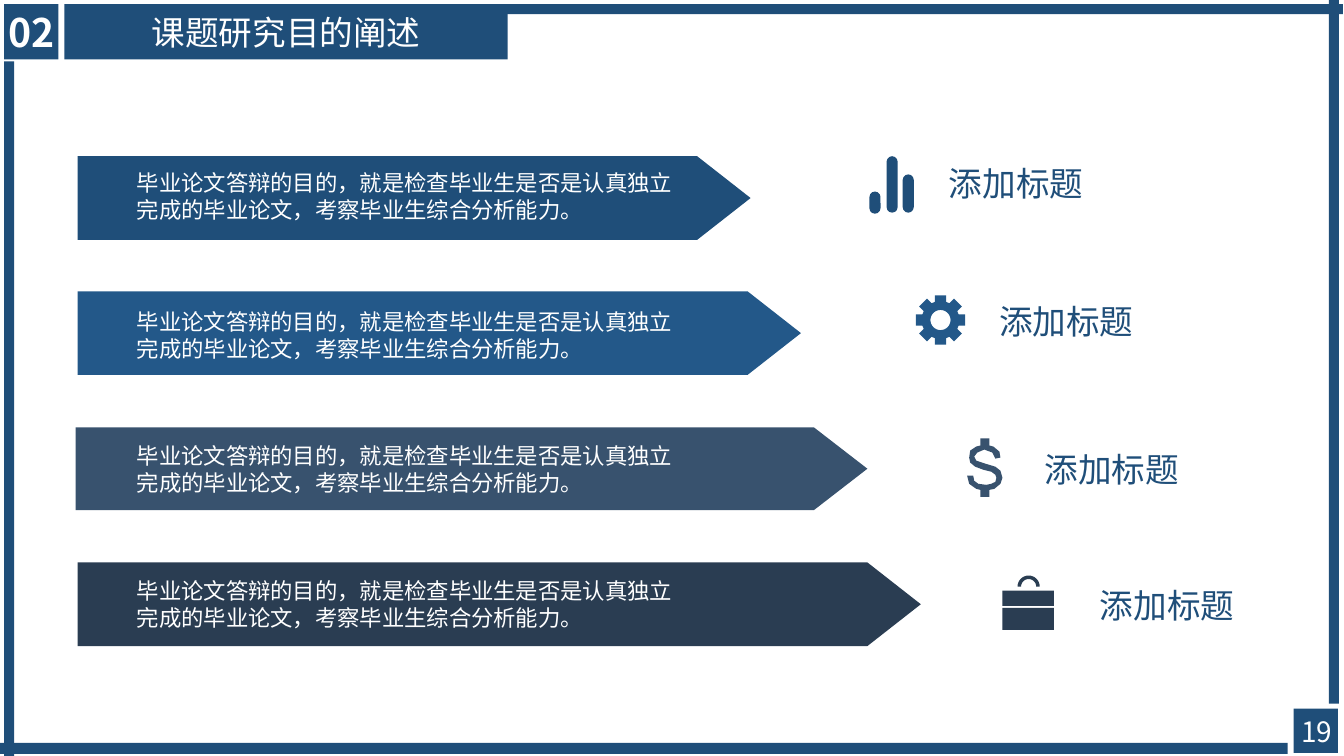
from math import cos, pi, sin

from lxml import etree
from pptx import Presentation
from pptx.dml.color import RGBColor
from pptx.enum.shapes import MSO_SHAPE
from pptx.enum.text import MSO_ANCHOR, MSO_AUTO_SIZE, PP_ALIGN
from pptx.oxml.ns import qn
from pptx.util import Pt

RECT = MSO_SHAPE.RECTANGLE
ROUND = MSO_SHAPE.ROUNDED_RECTANGLE
ARROW = MSO_SHAPE.PENTAGON
MIDDLE = MSO_ANCHOR.MIDDLE
LEFT, CENTER = PP_ALIGN.LEFT, PP_ALIGN.CENTER
NO_FIT = MSO_AUTO_SIZE.NONE

PX = 9144  # EMU in one px, 100 px to the inch
FACE = "Noto Sans CJK SC"
COLORS = {
    "navy": "1F4E79",
    "blue": "235889",
    "slate": "38526E",
    "dark": "2A3D52",
    "white": "FFFFFF",
}
BODY = "毕业论文答辩的目的，就是检查毕业生是否是认真独立完成的毕业论文，考察毕业生综合分析能力。"
LABEL = "添加标题"

# Arrow left, top, width, height; colour; body top; label left and top
ROWS = [
    ((77, 155, 668, 83), "navy", 163, (932, 157)),
    ((77, 289, 718, 83), "blue", 301, (982, 294)),
    ((75, 424, 786, 82), "slate", 434, (1027, 440)),
    ((77, 558, 837, 83), "dark", 568, (1082, 575)),
]
HEAD = 53

# Frame bars and the page number square
FRAME = [
    (77, 4, 1256, 10),
    (0, 737, 1278, 11),
    (1319, 0, 10, 698),
    (4, 61, 10, 689),
    (1284, 703, 44, 44),
]
BARS = [(863, 190, 11, 22), (880, 155, 11, 56), (896, 173, 11, 38)]
DOLLAR = [
    (993, 467), (988, 463), (978, 460), (969, 457), (967, 453), (970, 449),
    (977, 446), (985, 449), (988, 455), (993, 454), (992, 448), (986, 443),
    (982, 442), (982, 435), (973, 435), (973, 442), (969, 443), (963, 447),
    (962, 454), (963, 459), (968, 463), (976, 466), (984, 468), (988, 471),
    (989, 474), (988, 478), (984, 480), (979, 481), (971, 480), (967, 477),
    (966, 472), (960, 472), (962, 480), (969, 485), (973, 486), (973, 493),
    (982, 493), (982, 486), (987, 485), (993, 480), (995, 474),
]


def rgb(name):
    return RGBColor.from_string(COLORS[name])


def paint(shape, color):
    shape.fill.solid()
    shape.fill.fore_color.rgb = rgb(color)
    shape.line.fill.background()


def block(slide, kind, box, color):
    shape = slide.shapes.add_shape(kind, *[v * PX for v in box])
    shape.shadow.inherit = False
    paint(shape, color)
    return shape


def trace(slide, loops, color):
    """Draw closed outlines as one shape; a second loop cuts a hole."""
    first, *holes = [[(round(x * PX), round(y * PX)) for x, y in loop] for loop in loops]
    pen = slide.shapes.build_freeform(*first[0])
    pen.add_line_segments(first[1:])
    for hole in holes:
        pen.move_to(*hole[0])
        pen.add_line_segments(hole[1:])
    shape = pen.convert_to_shape()
    shape.shadow.inherit = False
    paint(shape, color)


def arc(x, y, r, start, end, steps=32):
    turns = [start + (end - start) * i / steps for i in range(steps + 1)]
    return [(x + r * cos(t), y + r * sin(t)) for t in turns]


def write(shape, text, size, color="white", align=LEFT, bold=False, tight=True):
    para = shape.text_frame.paragraphs[0]
    para.alignment = align
    if tight:
        para.line_spacing = Pt(round(size * 1.2, 1))
    run = para.add_run()
    run.text = text
    style = {"size": Pt(size), "bold": bold, "name": FACE}
    for key, value in style.items():
        setattr(run.font, key, value)
    run.font.color.rgb = rgb(color)
    props = run._r.get_or_add_rPr()
    etree.SubElement(props, qn("a:ea")).set("typeface", FACE)


def note(slide, box, text, size, wrap=False, **style):
    shape = slide.shapes.add_textbox(*[v * PX for v in box])
    shape.text_frame.word_wrap = wrap
    write(shape, text, size, **style)


def header(slide):
    title = slide.shapes.title
    place = {"left": 64, "top": 4, "width": 440, "height": 55}
    for key, value in place.items():
        setattr(title, key, value * PX)
    paint(title, "navy")
    title.text_frame.auto_size = NO_FIT
    title.text_frame.vertical_anchor = MIDDLE
    write(title, "课题研究目的阐述", 24, align=CENTER)

    badge = block(slide, RECT, (4, 4, 54, 55), "navy")
    frame = badge.text_frame
    frame.vertical_anchor = MIDDLE
    for side in ("left", "top", "right", "bottom"):
        setattr(frame, "margin_" + side, 0)
    write(badge, "02", 28, align=CENTER, bold=True, tight=False)


def row(slide, box, color, top, spot):
    arrow = block(slide, ARROW, box, color)
    arrow.adjustments[0] = HEAD / box[3]
    note(slide, (126, top, 560, 64), BODY, 16, wrap=True)
    note(slide, (*spot, 153, 50), LABEL, 24, color="navy")


def gear(slide, x, y, color):
    teeth = []
    for i in range(8):
        c, s = cos(i * pi / 4), sin(i * pi / 4)
        for u, v in ((18, -5.5), (24.5, -5.5), (24.5, 5.5), (18, 5.5)):
            teeth.append((x + u * c - v * s, y + u * s + v * c))
    trace(slide, [teeth, arc(x, y, 10, 2 * pi, 0)], color)


def icons(slide):
    # Bar chart
    for box in BARS:
        block(slide, ROUND, box, "navy").adjustments[0] = 0.5
    gear(slide, 933.5, 317.5, "blue")
    trace(slide, [DOLLAR], "slate")
    # Briefcase: handle, lid and body
    handle = arc(1021, 582, 11, pi, 2 * pi) + arc(1021, 582, 7.5, 2 * pi, pi)
    trace(slide, [handle], "dark")
    for box in ((995, 586, 51, 15), (995, 603, 51, 22)):
        block(slide, RECT, box, "dark")


def main():
    deck = Presentation()
    deck.slide_width, deck.slide_height = 1334 * PX, 750 * PX
    slide = deck.slides.add_slide(deck.slide_layouts[5])

    # Frame and header
    for box in FRAME:
        block(slide, RECT, box, "navy")
    header(slide)
    note(slide, (1230, 704, 154, 51), "19", 20, align=CENTER, tight=False)

    # Content
    for item in ROWS:
        row(slide, *item)
    icons(slide)
    deck.save("out.pptx")


if __name__ == "__main__":
    main()
